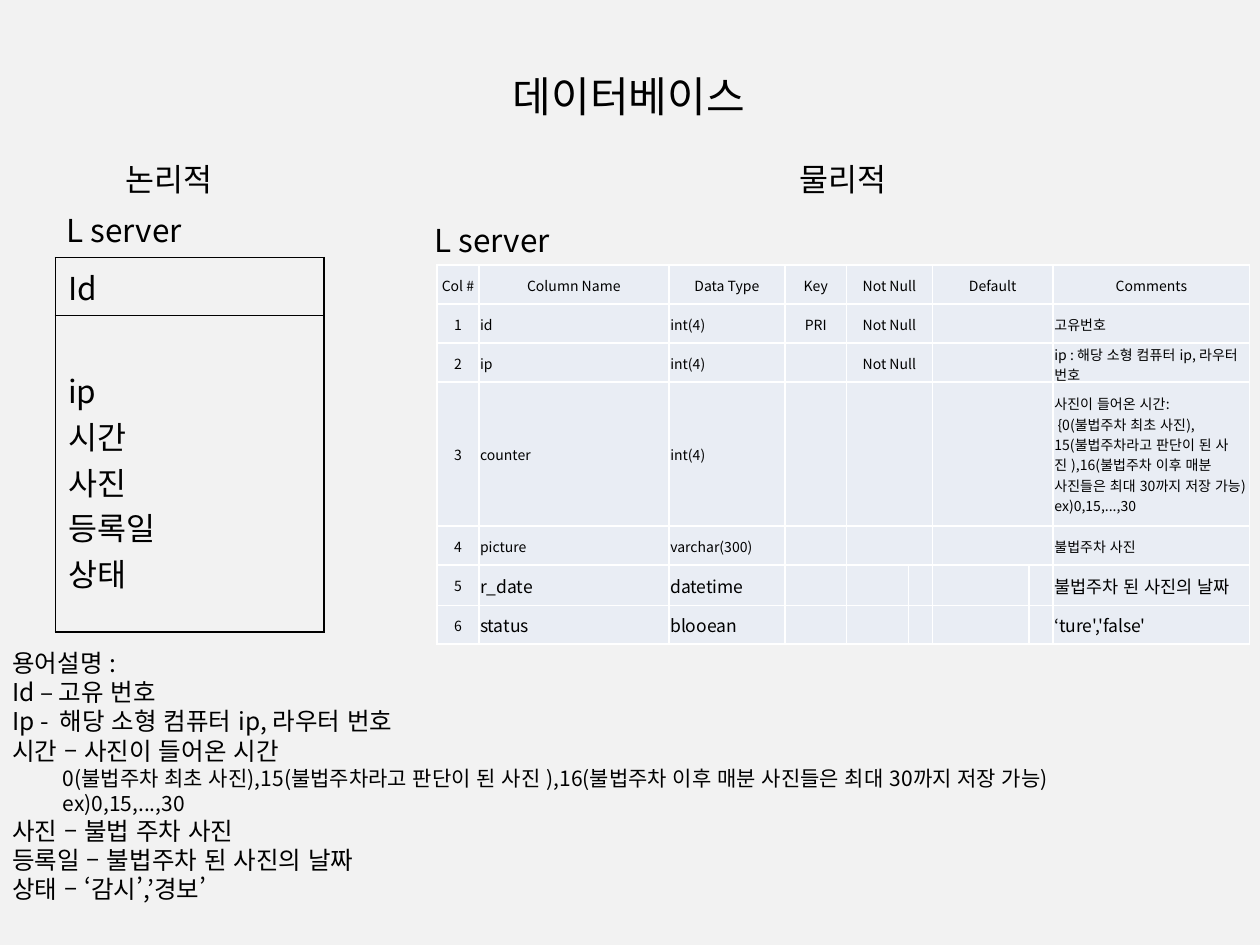
from lxml import etree
from pptx import Presentation
from pptx import util as u
from pptx.dml.color import RGBColor
from pptx.enum import lang, text
from pptx.oxml import ns

FONT = "Noto Sans CJK KR"
COLORS = {"page": "F2F2F2", "ink": "000000", "cell": "E9EDF4", "rule": "FFFFFF"}
WIDTH, HEIGHT = u.Inches(10), u.Inches(7.5)
CENTER, LEFT = text.PP_ALIGN.CENTER, text.PP_ALIGN.LEFT

FIELDS = ["ip", "시간", "사진", "등록일", "상태"]
TERMS = [
    ("용어설명 :", 14),
    ("Id – 고유 번호", 14),
    ("Ip -  해당 소형 컴퓨터 ip, 라우터 번호", 14),
    ("시간 – 사진이 들어온 시간", 14),
    ("0(불법주차 최초 사진),15(불법주차라고 판단이 된 사진 ),"
     "16(불법주차 이후 매분 사진들은 최대 30까지 저장 가능)", 12),
    ("ex)0,15,...,30", 12),
    ("사진 – 불법 주차 사진", 14),
    ("등록일 – 불법주차 된 사진의 날짜", 14),
    ("상태 – ‘감시’,’경보’", 14),
]
COUNTER_NOTE = ("사진이 들어온 시간:\v {0(불법주차 최초 사진),15(불법주차라고 판단이 된 사진 ),"
                "16(불법주차 이후 매분 사진들은 최대 30까지 저장 가능)\vex)0,15,...,30")
COLUMNS = [
    ("Col #", "Column Name", "Data Type", "Key", "Not Null", "", "Default", "", "Comments"),
    ("1", "id", "int(4)", "PRI", "Not Null", "", "", "", "고유번호"),
    ("2", "ip", "int(4)", "", "Not Null", "", "", "", "ip : 해당 소형 컴퓨터 ip, 라우터 번호"),
    ("3", "counter", "int(4)", "", "", "", "", "", COUNTER_NOTE),
    ("4", "picture", "varchar(300)", "", "", "", "", "", "불법주차 사진"),
    ("5", "r_date", "datetime", "", "", "", "", "", "불법주차 된 사진의 날짜"),
    ("6", "status", "blooean", "", "", "", "", "", "‘ture','false'"),
]


def color(name):
    """Return a palette colour."""
    return RGBColor.from_string(COLORS[name])


def share(x, y, w, h):
    """Turn percentages of the slide into a box."""
    return [int(n * side / 100) for n, side in zip((x, y, w, h), (WIDTH, HEIGHT) * 2)]


def style(p, size, align=LEFT):
    """Format every run of a paragraph, or its end mark when empty."""
    p.alignment = align
    for r in p.runs:
        r.font.size, r.font.name = u.Pt(size), FONT
        r.font.color.rgb = color("ink")
        r.font.language_id = lang.MSO_LANGUAGE_ID.KOREAN
        ea = etree.SubElement(r.font._element, ns.qn("a:ea"))
        ea.set("typeface", FONT)
    if not p.runs:
        etree.SubElement(p._p, ns.qn("a:endParaRPr")).set("sz", str(size * 100))


def write(tf, lines, align=LEFT):
    """Fill a text frame with (wording, size) lines and return its paragraphs."""
    tf.text = "\n".join(line for line, _ in lines)
    for p, (_, size) in zip(tf.paragraphs, lines):
        style(p, size, align)
    return tf.paragraphs


def add_text(s, box, lines, align=LEFT):
    """Place a wrapping text box."""
    tf = s.shapes.add_textbox(*box).text_frame
    tf.word_wrap = True
    return write(tf, lines, align)


def add_title(s, box, wording):
    """Move and format the title placeholder."""
    sp = s.shapes.title
    sp.left, sp.top, sp.width, sp.height = box
    sp.text_frame.vertical_anchor = text.MSO_ANCHOR.MIDDLE
    write(sp.text_frame, [(wording, 24)], CENTER)


def add_grid(s, box, widths, heights):
    """Place a plain table whose columns and rows share the box by weight."""
    table = s.shapes.add_table(len(heights), len(widths), *box).table
    table.first_row = table.horz_banding = False
    for column, weight in zip(table.columns, widths):
        column.width = int(box[2] * weight / sum(widths))
    for row, weight in zip(table.rows, heights):
        row.height = int(box[3] * weight / sum(heights))
    return table


def add_borders(cell, name):
    """Rule all four sides of a cell."""
    for side in "LRTB":
        ln = etree.SubElement(cell._tc.get_or_add_tcPr(), ns.qn(f"a:ln{side}"), w=str(u.Pt(1)))
        fill = etree.SubElement(ln, ns.qn("a:solidFill"))
        etree.SubElement(fill, ns.qn("a:srgbClr"), val=COLORS[name])


def add_entity(s, box):
    """Draw the logical entity: its key above its fields."""
    table = add_grid(s, box, [1], [0.46, 2.51])
    for cell, names in zip(table.iter_cells(), (["Id"], FIELDS)):
        add_borders(cell, "ink")
        cell.fill.background()
        write(cell.text_frame, [(name, 18) for name in names])
    table.cell(1, 0).margin_top = u.Inches(0.41)


def add_schema(s, box):
    """Draw the physical table definition."""
    table = add_grid(s, box, [0.33, 1.51, 0.92, 0.49, 0.49, 0.19, 0.77, 0.19, 1.56],
                     [0.31, 0.31, 0.31, 1.15, 0.31, 0.32, 0.31])
    for i, row in enumerate(COLUMNS):
        for j, wording in enumerate(row):
            cell = table.cell(i, j)
            add_borders(cell, "rule")
            cell.fill.solid()
            cell.fill.fore_color.rgb = color("cell")
            cell.margin_left = cell.margin_right = cell.margin_top = u.Inches(0.01)
            cell.margin_bottom = 0
            cell.vertical_anchor = text.MSO_ANCHOR.MIDDLE
            p = cell.text_frame.paragraphs[0]
            p.text = wording
            centered = i == 0 or j in (0, 3, 4)
            style(p, 10 if i > 4 and j > 0 and wording else 8, CENTER if centered else LEFT)
        if i < 5:
            for j in (4, 6):
                table.cell(i, j).merge(table.cell(i, j + 1))


def add_terms(s, box):
    """List the terms, with the smaller details indented."""
    for p, (_, size) in zip(add_text(s, box, TERMS), TERMS):
        if size == 12:
            p._p.get_or_add_pPr().set("marL", str(u.Inches(0.4)))


def main():
    """Build the database slide."""
    prs = Presentation()
    prs.slide_width, prs.slide_height = WIDTH, HEIGHT
    s = prs.slides.add_slide(prs.slide_layouts[5])
    s.background.fill.solid()
    s.background.fill.fore_color.rgb = color("page")
    add_title(s, share(4.9, 1.8, 90, 16.67), "데이터베이스")
    for x, y, wording, align in ((2.8, 16.27, "논리적", CENTER), (56.25, 16.27, "물리적", CENTER),
                                 (4.3, 21.67, "L server", LEFT), (33.5, 22.73, "L server", LEFT)):
        add_text(s, share(x, y, 21.3, 5.33), [(wording, 18)], align)
    add_entity(s, share(4.4, 27.27, 21.3, 39.6))
    add_schema(s, share(34.7, 28.05, 64.5, 40.13))
    add_terms(s, share(0, 67.87, 100, 33.2))
    prs.save("out.pptx")


if __name__ == "__main__":
    main()
